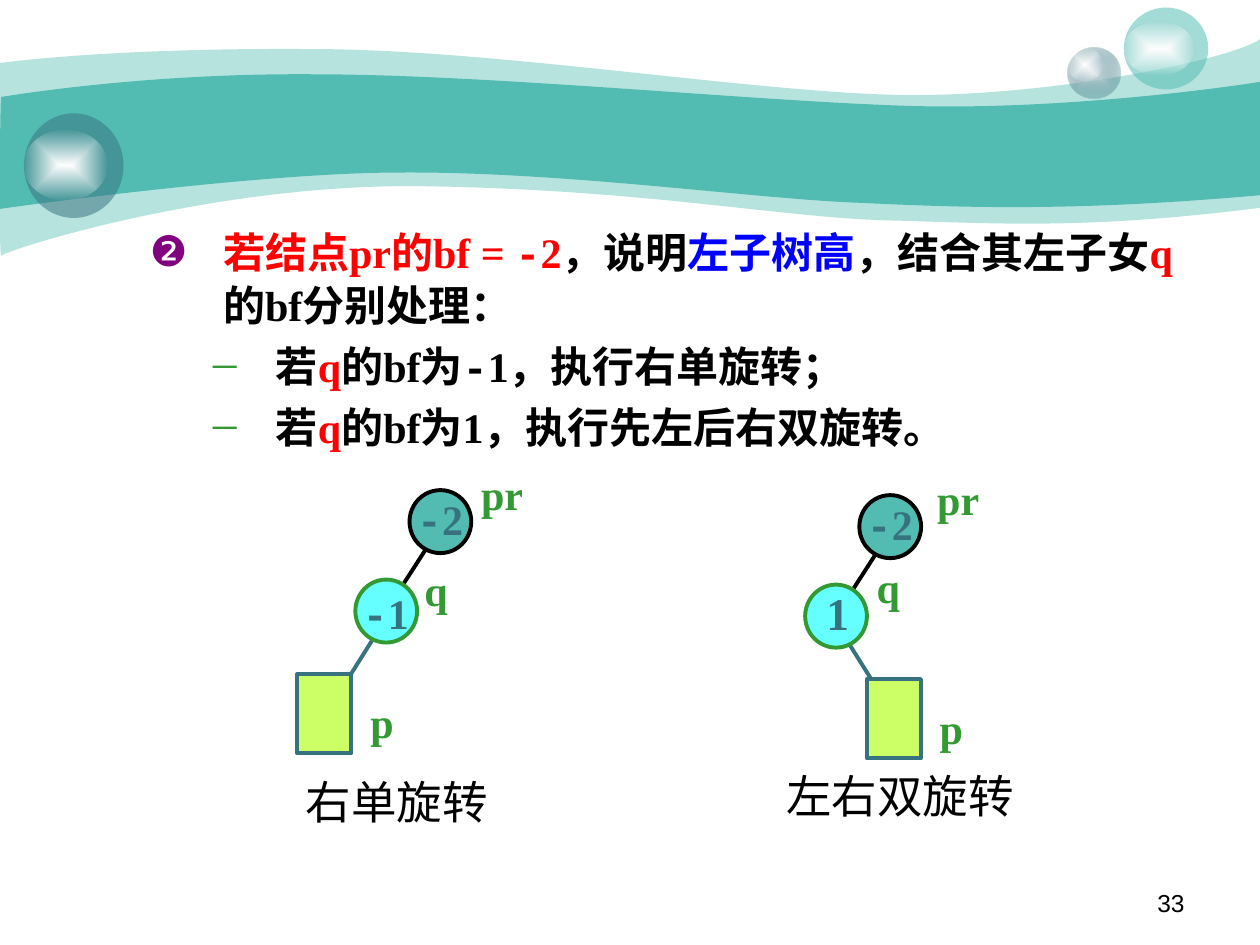
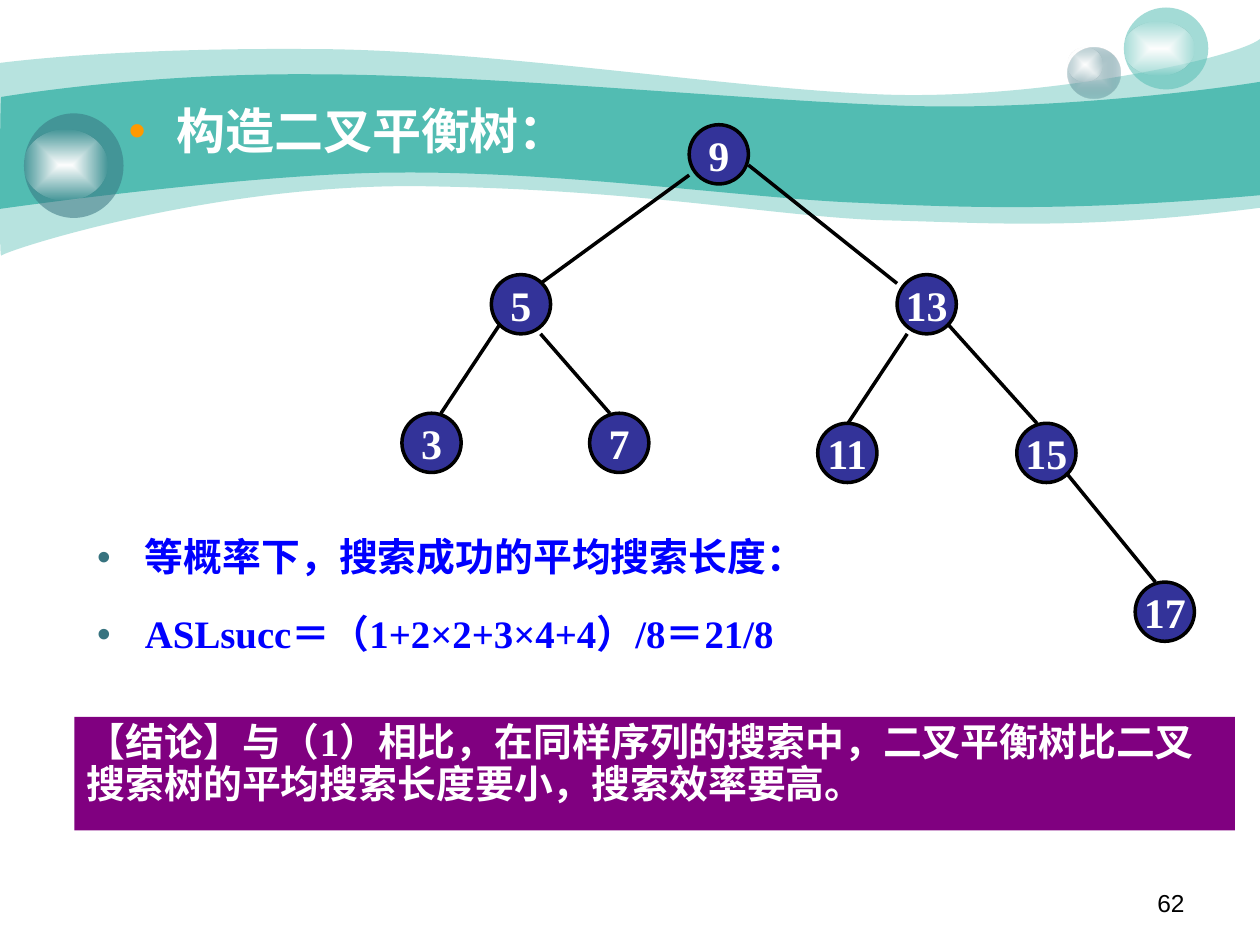
from dataclasses import dataclass

from pptx import Presentation
from pptx.dml.color import RGBColor
from pptx.enum.shapes import MSO_CONNECTOR, MSO_SHAPE
from pptx.enum.text import MSO_ANCHOR, MSO_AUTO_SIZE, PP_ALIGN
from pptx.oxml import parse_xml
from pptx.oxml.ns import nsdecls
from pptx.util import Inches, Pt


@dataclass(frozen=True)
class Theme:
    teal: str = "52BCB2"
    slate: str = "37737F"
    mist: str = "CCDBDE"
    white: str = "FFFFFF"
    black: str = "000000"
    red: str = "FF0000"
    blue: str = "0000FF"
    navy: str = "333399"
    purple: str = "800080"
    green: str = "339933"
    cyan: str = "66FFFF"
    lime: str = "CCFF66"
    orange: str = "FF9900"
    serif: str = "Times New Roman"
    sans: str = "Arial"
    mono: str = "Courier New"
    head: float = 28
    large: float = 26
    text: float = 24
    list: float = 22.2
    page: float = 14


T = Theme()
SIZE = 0.47

# Each band: opacity, start point, then cubic (6 numbers) or straight (2) segments
BANDS = [
    (41, (0, 0.5), [
        (0.24, 0.47, 1.07, 0.38, 2.47, 0.39), (3.86, 0.39, 5.75, 0.7, 6.99, 0.75),
        (8.22, 0.8, 9.8, 0.47, 10, 0.31), (10, 1.65),
        (8.58, 1.83, 7.87, 1.77, 7.05, 1.75), (6.22, 1.73, 5.15, 1.51, 3.43, 1.48),
        (1.72, 1.44, 0.04, 1.99, 0.01, 2.03), (-0.01, 2.08, 0, 0.75, 0, 0.5)]),
    (100, (0.01, 0.77), [
        (0.02, 0.77, 1.1, 0.58, 2.48, 0.59), (3.86, 0.59, 5.95, 0.8, 7.18, 0.84),
        (8.41, 0.88, 9.76, 0.69, 10, 0.65), (10, 1.55),
        (8.53, 1.68, 7.65, 1.65, 6.82, 1.61), (5.99, 1.58, 4.47, 1.36, 3.17, 1.37),
        (2.03, 1.37, -0.02, 1.66, -0.01, 1.66), (0, 1.66, 0, 0.77, 0.01, 0.77)]),
]


def assign(obj, **fmt):
    for key, val in fmt.items():
        setattr(obj, key, val)


def inches(*vals):
    return [Inches(val) for val in vals]


def paint(shape, fill, line=None, width=2.25, alpha=100):
    shape.shadow.inherit = False
    shape.fill.solid()
    shape.fill.fore_color.rgb = RGBColor.from_string(fill)
    if alpha < 100:
        tint = shape.element.spPr.xpath("./a:solidFill/a:srgbClr")[0]
        tint.append(parse_xml(f'<a:alpha {nsdecls("a")} val="{alpha * 1000}"/>'))
    if line:
        shape.line.color.rgb = RGBColor.from_string(line)
        shape.line.width = Pt(width)
    else:
        shape.line.fill.background()


def glow(shape, inner, outer, alpha):
    """Fill a shape with a gradient from its centre to a clear edge."""
    paint(shape, inner)
    old = shape.element.spPr.xpath("./a:solidFill")[0]
    old.getparent().replace(old, parse_xml(
        f'<a:gradFill {nsdecls("a")} rotWithShape="1"><a:gsLst>'
        f'<a:gs pos="0"><a:srgbClr val="{inner}"/></a:gs>'
        f'<a:gs pos="100000"><a:srgbClr val="{outer}">'
        f'<a:alpha val="{alpha * 1000}"/></a:srgbClr></a:gs></a:gsLst>'
        '<a:path path="rect"><a:fillToRect l="50000" t="50000" r="50000" b="50000"/>'
        '</a:path></a:gradFill>'))


def wave(slide, start, segs):
    """Build an outline through all points, then bend its cubic segments."""
    pts = [tuple(inches(*seg[i:i + 2])) for seg in segs for i in range(0, len(seg), 2)]
    build = slide.shapes.build_freeform(*inches(*start))
    build.add_line_segments(pts, close=True)
    shape = build.convert_to_shape()
    steps = iter(shape.element.spPr.xpath(".//a:lnTo"))
    for seg in segs:
        group = [next(steps) for _ in range(len(seg) // 2)]
        if len(group) == 3:
            bend = parse_xml(f'<a:cubicBezTo {nsdecls("a")}/>')
            group[0].addprevious(bend)
            for step in group:
                bend.append(step[0])
                step.getparent().remove(step)
    return shape


def add_oval(slide, *box):
    return slide.shapes.add_shape(MSO_SHAPE.OVAL, *inches(*box))


def add_line(slide, x1, y1, x2, y2, colour=T.black, width=2.25):
    line = slide.shapes.add_connector(MSO_CONNECTOR.STRAIGHT, *inches(x1, y1, x2, y2))
    line.line.color.rgb = RGBColor.from_string(colour)
    line.line.width = Pt(width)
    line.element.spPr.append(parse_xml(f'<a:effectLst {nsdecls("a")}/>'))


def write(para, runs, size=T.text, bold=True):
    """Add runs given as (text, colour) or (text, colour, font)."""
    for text, colour, *font in runs:
        run = para.add_run()
        run.text = text
        assign(run.font, size=Pt(size), bold=bold, name=font[0] if font else T.serif)
        run.font.color.rgb = RGBColor.from_string(colour)


def bullet(para, char, colour, left, hang, size=100):
    props = para._p.get_or_add_pPr()
    props.set("marL", str(Inches(left)))
    props.set("indent", str(-Inches(hang)))
    for xml in (f'<a:buClr {nsdecls("a")}><a:srgbClr val="{colour}"/></a:buClr>',
                f'<a:buSzPct {nsdecls("a")} val="{size * 1000}"/>',
                f'<a:buFont {nsdecls("a")} typeface="{T.sans}"/>',
                f'<a:buChar {nsdecls("a")} char="{char}"/>'):
        props.append(parse_xml(xml))


def place(shape, *box):
    """Move a placeholder and return its text frame."""
    assign(shape, **dict(zip(("left", "top", "width", "height"), inches(*box))))
    frame = shape.text_frame
    assign(frame, auto_size=MSO_AUTO_SIZE.NONE, word_wrap=True,
           vertical_anchor=MSO_ANCHOR.TOP)
    return frame


def label(slide, box, runs, size=T.text, bold=True):
    frame = slide.shapes.add_textbox(*inches(*box)).text_frame
    assign(frame, word_wrap=False, auto_size=MSO_AUTO_SIZE.SHAPE_TO_FIT_TEXT)
    write(frame.paragraphs[0], runs, size, bold)


def page(slide, num):
    frame = slide.shapes.add_textbox(*inches(7.17, 7, 2.33, 0.35)).text_frame
    frame.word_wrap = True
    frame.paragraphs[0].alignment = PP_ALIGN.RIGHT
    write(frame.paragraphs[0], [(num, T.black, T.sans)], T.page, False)


def decorate(master, slide):
    """Draw the waves and bubbles, then move them to the master."""
    parts = []
    for alpha, start, segs in BANDS:
        parts.append(wave(slide, start, segs))
        paint(parts[-1], T.teal, alpha=alpha)
    bubbles = [
        ((8.47, 0.38, 0.42, 0.4), None, (8.47, 0.38, 0.28, 0.27)),
        ((8.92, 0.06, 0.67, 0.65), T.teal, (8.92, 0.17, 0.56, 0.43)),
        ((0.19, 0.9, 0.79, 0.83), T.slate, (0.19, 1.03, 0.66, 0.56))]
    for ball, colour, shine in bubbles:
        orb, light = add_oval(slide, *ball), add_oval(slide, *shine)
        if colour:
            paint(orb, colour, alpha=53)
        else:
            glow(orb, T.mist, T.slate, 31)
        glow(light, T.white, T.white, 0)
        parts += [orb, light]
    for part in parts:
        master.shapes.element.append(part.element)


def rules(shape, *box):
    """Fill the body with the balance-factor cases."""
    frame = place(shape, *box)
    lead = [("若结点pr的bf = ", T.red), ("-", T.red, T.mono), ("2", T.red),
            ("，说明", T.black), ("左子树高", T.blue), ("，结合其左子女", T.black),
            ("q ", T.red), ("的bf分别处理：", T.black)]
    tails = [[("的bf为", T.black), ("-", T.black, T.mono), ("1，执行右单旋转；", T.black)],
             [("的bf为1，执行先左后右双旋转。", T.black)]]
    para = frame.paragraphs[0]
    bullet(para, "❷", T.purple, 1.08, 0.58)
    assign(para, level=1, line_spacing=1.05, space_before=Pt(0))
    write(para, lead)
    for tail in tails:
        para = frame.add_paragraph()
        bullet(para, "─", T.green, 1.5, 0.5, 80)
        assign(para, level=2, line_spacing=1.0, space_before=Pt(6))
        write(para, [("若", T.black), ("q", T.red)] + tail)


def rotation(slide, x, y, child, stem, value, tags, caption):
    """Draw nodes pr, q and p; x, y is the corner of the pr circle."""
    def near(dx, dy, *size):
        return (x + dx, y + dy, *size)

    add_line(slide, *near(*stem[:2]), *near(*stem[2:]), T.slate)
    add_line(slide, *near(0.2, 0.36), *near(-0.18, 0.95))
    paint(add_oval(slide, *near(0, 0, 0.49, 0.5)), T.teal, T.black)
    label(slide, near(-0.04, -0.02, 0.58, 0.5), [("-", T.slate, T.mono), ("2", T.slate)])
    paint(add_oval(slide, *near(-0.43, 0.71, 0.49, 0.5)), T.cyan, T.green)
    box, runs, size = value
    label(slide, near(*box), runs, size)
    for name, (dx, dy) in tags.items():
        label(slide, near(dx, dy, 0.53 if name == "pr" else 0.38, 0.5), [(name, T.green)])
    leaf = slide.shapes.add_shape(MSO_SHAPE.RECTANGLE, *inches(*near(child, 1.46, 0.43, 0.63)))
    paint(leaf, T.lime, T.slate)
    text, box = caption
    label(slide, near(*box), [(text, T.black, T.sans)], T.large, False)


def tree(slide, x, y):
    nodes = {3: (0, 2.29), 5: (0.71, 1.19), 7: (1.49, 2.29), 9: (2.28, 0),
             11: (3.3, 2.37), 17: (5.82, 3.63), 15: (4.88, 2.37), 13: (3.93, 1.19)}
    # Each edge: parent, child, and its end points within those nodes
    edges = [(9, 5, (0, 0.4), (0.39, 0.07)), (9, 13, (SIZE, 0.32), (0, 0.07)),
             (5, 3, (0.07, 0.39), (0.31, 0)), (5, 7, (0.39, SIZE), (0.16, 0)),
             (13, 11, (0.08, SIZE), (0.24, 0)), (13, 15, (0.4, 0.39), (0.16, 0)),
             (15, 17, (0.39, 0.39), (0.16, 0))]
    for key, (dx, dy) in nodes.items():
        node = add_oval(slide, x + dx, y + dy, SIZE, SIZE)
        paint(node, T.navy, T.black, 2)
        frame = node.text_frame
        assign(frame, word_wrap=False, vertical_anchor=MSO_ANCHOR.MIDDLE)
        frame.paragraphs[0].alignment = PP_ALIGN.CENTER
        write(frame.paragraphs[0], [(str(key), T.white)])
    for top, low, out, into in edges:
        ends = [x + nodes[top][0] + out[0], y + nodes[top][1] + out[1],
                x + nodes[low][0] + into[0], y + nodes[low][1] + into[1]]
        add_line(slide, *ends, width=2)


def heading(shape, text, *box):
    para = place(shape, *box).paragraphs[0]
    bullet(para, "•", T.orange, 0.38, 0.38)
    assign(para, alignment=PP_ALIGN.LEFT, space_before=Pt(0))
    write(para, [(text, T.white)], T.head)


def lengths(shape, *box):
    """List the average search length and its formula."""
    frame = place(shape, *box)
    rows = ["等概率下，搜索成功的平均搜索长度：", "ASLsucc＝（1+2×2+3×4+4）/8＝21/8"]
    for i, row in enumerate(rows):
        para = frame.add_paragraph() if i else frame.paragraphs[0]
        bullet(para, "•", T.slate, 0.38, 0.38)
        assign(para, line_spacing=0.9, space_before=Pt(20 if i else 0))
        write(para, [(row, T.blue)], T.list)


def verdict(slide, text, *box):
    bar = slide.shapes.add_shape(MSO_SHAPE.RECTANGLE, *inches(*box))
    paint(bar, T.purple)
    assign(bar.text_frame, word_wrap=True, vertical_anchor=MSO_ANCHOR.TOP)
    para = bar.text_frame.paragraphs[0]
    assign(para, alignment=PP_ALIGN.LEFT, line_spacing=0.9)
    write(para, [(text, T.white)], T.list)


def cases(slide):
    title = slide.shapes.title.element
    title.getparent().remove(title)
    rules(slide.placeholders[1], 0.59, 1.73, 9, 5.27)
    rotation(slide, 3.25, 3.89, -0.89, (-0.22, 1.07, -0.59, 1.66),
             ((-0.47, 0.72, 0.58, 0.5), [("-", T.slate, T.mono), ("1", T.slate)], T.text),
             {"pr": (0.47, -0.22), "q": (0.02, 0.54), "p": (-0.41, 1.59)},
             ("右单旋转", (-0.92, 2.2, 1.66, 0.54)))
    rotation(slide, 6.82, 3.93, 0.06, (-0.15, 1.07, 0.22, 1.66),
             ((-0.36, 0.66, 0.38, 0.54), [("1", T.slate)], T.large),
             {"pr": (0.52, -0.22), "q": (0.04, 0.48), "p": (0.54, 1.6)},
             ("左右双旋转", (-0.68, 2.12, 2.02, 0.54)))
    page(slide, "33")


def balanced(slide):
    tree(slide, 3.19, 0.99)
    heading(slide.shapes.title, "构造二叉平衡树：", 0.92, 0.75, 3.94, 0.57)
    lengths(slide.placeholders[1], 0.67, 4.22, 6.69, 1.11)
    verdict(slide, "【结论】与（1）相比，在同样序列的搜索中，二叉平衡树比二叉"
            "搜索树的平均搜索长度要小，搜索效率要高。", 0.59, 5.69, 9.21, 0.9)
    page(slide, "62")


def main():
    prs = Presentation()
    assign(prs, slide_width=Inches(10), slide_height=Inches(7.5))
    first, second = [prs.slides.add_slide(prs.slide_layouts[1]) for _ in range(2)]
    decorate(prs.slide_master, first)
    cases(first)
    balanced(second)
    prs.save("out.pptx")


if __name__ == "__main__":
    main()
